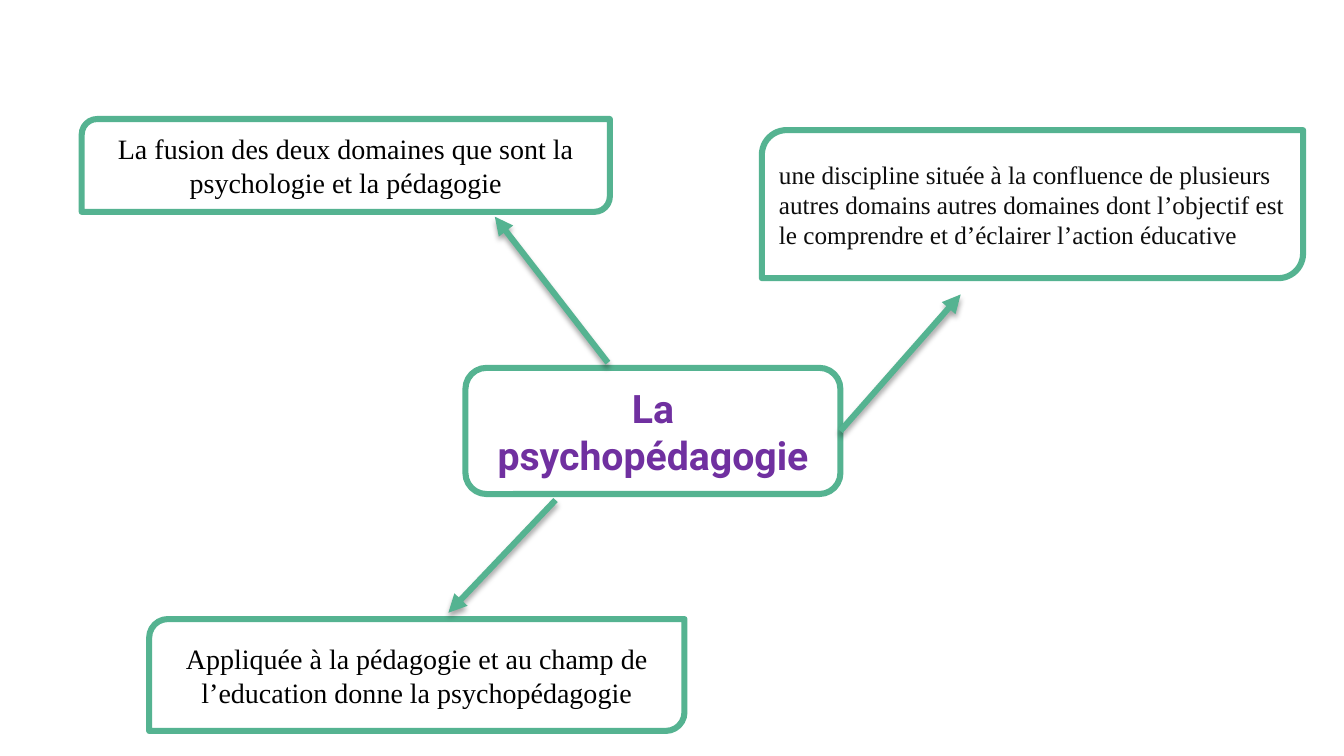
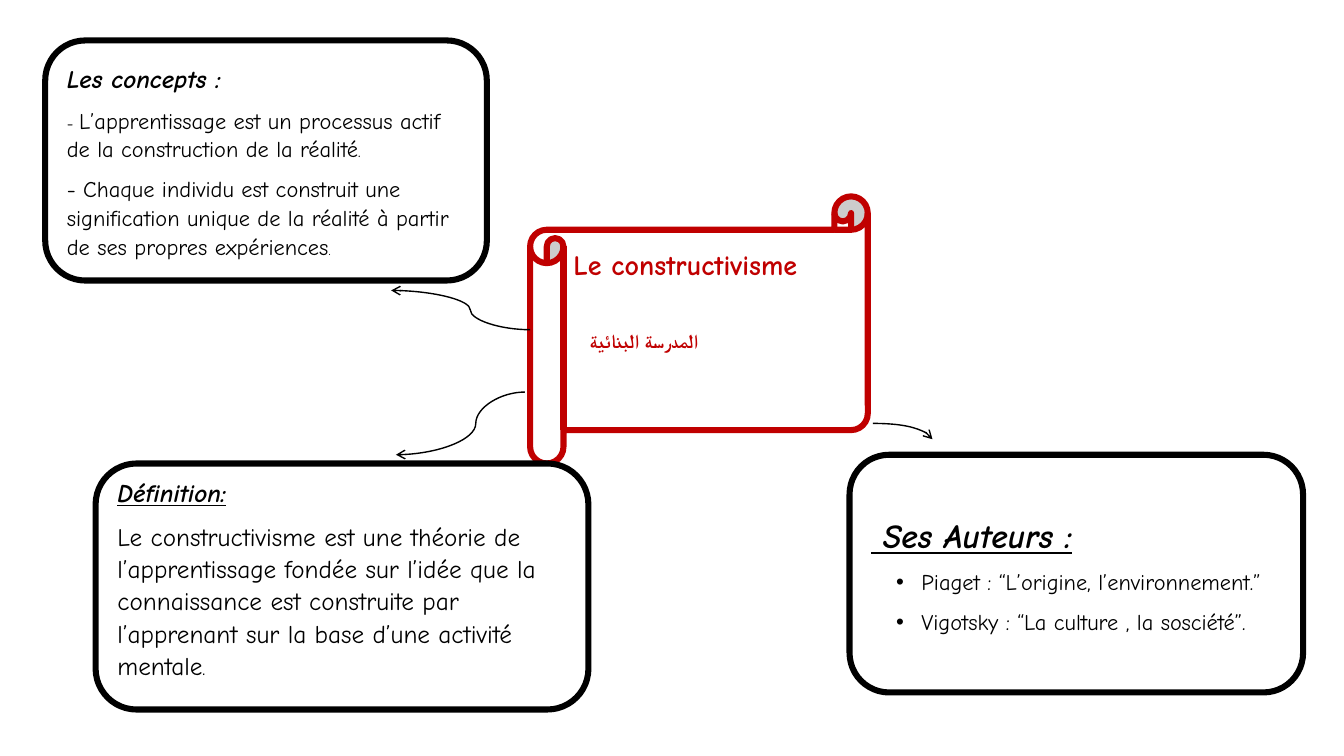
import pptx
import pptx.util
import pptx.dml.color
import pptx.enum.shapes
import pptx.enum.text
import pptx.oxml
import pptx.oxml.ns

Cm = pptx.util.Cm
Pt = pptx.util.Pt
RGB = pptx.dml.color.RGBColor
KIND = pptx.enum.shapes.MSO_SHAPE
LINK = pptx.enum.shapes.MSO_CONNECTOR
ALIGN = pptx.enum.text.PP_ALIGN
ANCHOR = pptx.enum.text.MSO_ANCHOR

WHITE = RGB(0xFF, 0xFF, 0xFF)
BLACK = RGB(0x00, 0x00, 0x00)
INK = RGB(0x0D, 0x0D, 0x0D)
GREEN = RGB(0x55, 0xB3, 0x91)
PURPLE = RGB(0x70, 0x30, 0xA0)
RED = RGB(0xC0, 0x00, 0x00)

SERIF = "Times New Roman"
COMIC = "Comic Neue"
THICK = Pt(4.33)
NOTE = {"font": COMIC, "lead": 1.07, "after": 8}
HEAD = {**NOTE, "bold": True, "slant": True}
SHADOW = (
    '<a:outerShdw blurRad="50800" dist="38100" dir="5400000" rotWithShape="0">'
    '<a:srgbClr val="000000"><a:alpha val="35000"/></a:srgbClr></a:outerShdw>'
)


def xml(tag, inner="", **attrs):
    pairs = "".join(f' {name}="{value}"' for name, value in attrs.items())
    space = pptx.oxml.ns.nsdecls("a")
    return pptx.oxml.parse_xml(f"<a:{tag} {space}{pairs}>{inner}</a:{tag}>")


def say(frame, text, size=18, tone=BLACK, font=SERIF, bold=False, slant=False,
        under=False, align=ALIGN.LEFT, lead=1, before=0, after=0,
        indent=0, bullet=False, join=False):
    par = frame.paragraphs[-1]
    if par.runs and not join:
        par = frame.add_paragraph()
    if not join:
        par.alignment = align
        par.line_spacing = lead
        par.space_before = Pt(before)
        par.space_after = Pt(after)
        props = par._p.get_or_add_pPr()
        props.set("marL", str(Cm(indent)))
        if bullet:
            props.set("indent", str(-Cm(0.64)))
            props.append(xml("buFont", typeface="Arial"))
            props.append(xml("buChar", char="•"))
    run = par.add_run()
    run.text = text
    run.font.name = font
    run.font.size = Pt(size)
    run.font.bold = bold
    run.font.italic = slant
    run.font.underline = under
    run.font.color.rgb = tone


def panel(slide, kind, box, tone, anchor=ANCHOR.MIDDLE, top=0.13):
    shape = slide.shapes.add_shape(kind, *map(Cm, box))
    shape.shadow.inherit = False
    shape.fill.solid()
    shape.fill.fore_color.rgb = WHITE
    shape.line.color.rgb = tone
    shape.line.width = THICK
    frame = shape.text_frame
    frame.word_wrap = True
    frame.vertical_anchor = anchor
    frame.margin_top = Cm(top)
    return shape


def arrow(slide, start, end, tone, width, tip, kind=LINK.STRAIGHT, effect=""):
    line = slide.shapes.add_connector(kind, *map(Cm, start + end))
    line.line.color.rgb = tone
    line.line.width = width
    line.line._get_or_add_ln().append(xml("tailEnd", type=tip))
    line._element.spPr.append(xml("effectLst", effect))
    return line


def ray(slide, start, end):
    return arrow(slide, start, end, GREEN, THICK, "triangle", effect=SHADOW)


def curve(slide, start, end, bend=None):
    line = arrow(slide, start, end, BLACK, Pt(1), "arrow", LINK.CURVE)
    form = line._element.spPr.prstGeom
    if bend is None:
        form.set("prst", "curvedConnector2")
    else:
        guides = form.get_or_add_avLst()
        guides.append(xml("gd", name="adj1", fmla=f"val {bend}"))


def leaf(slide, box, text, **style):
    shape = panel(slide, KIND.ROUND_2_DIAG_RECTANGLE, box, GREEN)
    say(shape.text_frame, text, **style)


def core(slide, box):
    shape = panel(slide, KIND.ROUNDED_RECTANGLE, box, GREEN)
    say(shape.text_frame, "La psychopédagogie", size=28, tone=PURPLE,
        font="Roboto", bold=True, align=ALIGN.CENTER)
    return shape


def authors(slide, box):
    frame = panel(slide, KIND.ROUNDED_RECTANGLE, box, BLACK).text_frame
    say(frame, " Ses Auteurs :", size=24, under=True, **HEAD)
    for item in ("Piaget : “L’origine, l’environnement.”",
                 "Vigotsky : “La culture , la sosciété”."):
        say(frame, item, size=16, indent=1.27, bullet=True, **NOTE)


def scroll(slide, box):
    frame = panel(slide, KIND.HORIZONTAL_SCROLL, box, RED, ANCHOR.TOP, 0.38).text_frame
    say(frame, "Le constructivisme", size=20, tone=RED, bold=True, **NOTE)
    say(frame, "المدرسة البنائية", size=14, tone=RED, bold=True,
        before=25, indent=0.41, **NOTE)


def meaning(slide, box):
    frame = panel(slide, KIND.ROUNDED_RECTANGLE, box, BLACK, ANCHOR.TOP, 0).text_frame
    frame.margin_bottom = 0
    say(frame, "Définition:", under=True, **HEAD)
    say(frame, "Le constructivisme est une théorie de l’apprentissage fondée sur "
        "l’idée que la connaissance est construite par l’apprenant sur la base "
        "d’une activité mentale", **NOTE)
    say(frame, ".", size=14, join=True, **NOTE)


def ideas(slide, box):
    frame = panel(slide, KIND.ROUNDED_RECTANGLE, box, BLACK).text_frame
    say(frame, "Les concepts :", **HEAD)
    say(frame, "- ", size=12, **NOTE)
    say(frame, "L’apprentissage est un processus actif de la construction de la réalité",
        size=16, join=True, **NOTE)
    say(frame, ".", size=12, join=True, **NOTE)
    say(frame, "- Chaque individu est construit une signification unique de la "
        "réalité à partir de ses propres expériences", size=16, **NOTE)
    say(frame, ".", size=10, join=True, **NOTE)


def fusion(slide):
    hub = core(slide, (11.73, 9.27, 9.45, 3.18))
    ray(slide, (21.18, 10.86), (24.21, 7.42)).begin_connect(hub, 3)
    leaf(slide, (2.06, 3, 13.31, 2.34),
         "La fusion des deux domaines que sont la psychologie et la pédagogie",
         size=20, align=ALIGN.CENTER)
    leaf(slide, (3.76, 15.6, 13.49, 2.82),
         "Appliquée à la pédagogie et au champ de l’education donne la psychopédagogie",
         size=20, align=ALIGN.CENTER)
    leaf(slide, (19.2, 3.28, 13.64, 3.73),
         "une discipline située à la confluence de plusieurs autres domains autres "
         "domaines dont l’objectif est le comprendre et d’éclairer l’action éducative",
         tone=INK)
    ray(slide, (15.32, 9.14), (12.47, 5.46))
    ray(slide, (14, 12.6), (11.3, 15.44))


def school(slide):
    authors(slide, (21.41, 11.46, 11.43, 5.99))
    scroll(slide, (13.36, 4.95, 8.51, 6.73))
    meaning(slide, (2.41, 11.68, 12.42, 6.2))
    ideas(slide, (1.14, 1.02, 11.13, 6.05))
    curve(slide, (22, 10.67), (23.5, 11.07))
    curve(slide, (13.36, 8.31), (9.86, 7.32), 43000)
    curve(slide, (13.23, 9.88), (9.98, 11.46), 38100)


def main():
    deck = pptx.Presentation()
    deck.slide_width = Cm(33.87)
    deck.slide_height = Cm(19.05)
    for build in (fusion, school):
        build(deck.slides.add_slide(deck.slide_layouts[6]))
    deck.save("out.pptx")


if __name__ == "__main__":
    main()
